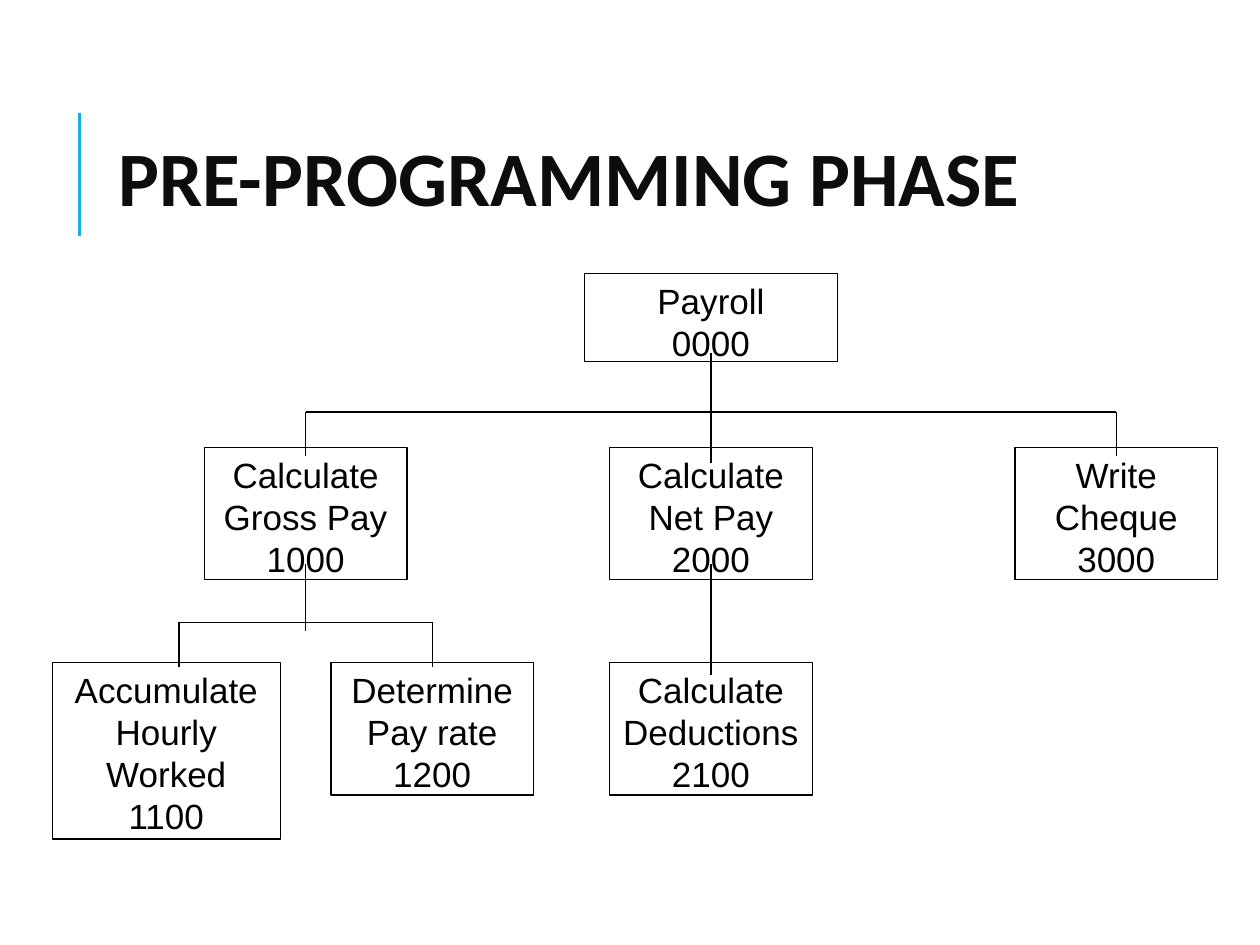
from lxml import etree
from pptx import Presentation
from pptx.dml.color import RGBColor
from pptx.enum.shapes import MSO_CONNECTOR, MSO_SHAPE
from pptx.enum.text import MSO_ANCHOR, PP_ALIGN
from pptx.oxml.ns import qn
from pptx.util import Inches, Pt

RECT = MSO_SHAPE.RECTANGLE
STRAIGHT = MSO_CONNECTOR.STRAIGHT
TOP, MIDDLE = MSO_ANCHOR.TOP, MSO_ANCHOR.MIDDLE
LEFT, CENTER = PP_ALIGN.LEFT, PP_ALIGN.CENTER

THEME = {
    "title": RGBColor(0x0D, 0x0D, 0x0D),
    "ink": RGBColor(0, 0, 0),
    "paper": RGBColor(0xFF, 0xFF, 0xFF),
    "accent": RGBColor(0x1C, 0xAD, 0xE4),
    "title_font": "Calibri",
    "box_font": "Arial",
    "title_size": Pt(44),
    "box_size": Pt(20),
    "rule": Pt(1.5),
    "thin": Pt(0.75),
}

COL, ROW = Inches(0.2), Inches(0.18)
ORIGIN = Inches(1.42)
COL = (Inches(8.86) - ORIGIN) / 37
ROW = Inches(0.7) / 4


def add_line(shapes, x1, y1, x2, y2, color, width):
    line = shapes.add_connector(STRAIGHT, int(x1), int(y1), int(x2), int(y2))
    line.line.color.rgb = color
    line.line.width = width
    etree.SubElement(line._element.spPr, qn("a:effectLst"))


def add_box(shapes, col, top, cols, lines):
    left = ORIGIN + (col - cols / 2) * COL
    height = (2 * len(lines)) * ROW
    sp = shapes.add_shape(RECT, int(left), Inches(top), int(cols * COL), int(height))
    sp.shadow.inherit = False
    sp.fill.solid()
    sp.fill.fore_color.rgb = THEME["paper"]
    sp.line.color.rgb = THEME["ink"]
    sp.line.width = THEME["thin"]
    tf = sp.text_frame
    tf.word_wrap = True
    tf.vertical_anchor = TOP
    tf.margin_left = tf.margin_right = Inches(0.02)
    tf.margin_top = tf.margin_bottom = Inches(0.05)
    for i, text in enumerate(lines):
        p = tf.paragraphs[0] if i == 0 else tf.add_paragraph()
        p.alignment = CENTER
        r = p.add_run()
        r.text = text
        r.font.name = THEME["box_font"]
        r.font.size = THEME["box_size"]
        r.font.color.rgb = THEME["ink"]


prs = Presentation()
prs.slide_width, prs.slide_height = Inches(10), Inches(7.5)
s = prs.slides.add_slide(prs.slide_layouts[5])

rule_x = Inches(0.63)
add_line(s.shapes, rule_x, prs.slide_height * 0.25, rule_x, prs.slide_height * 0.12,
         THEME["accent"], THEME["rule"])

title = s.shapes.title
title.left, title.top = Inches(0.84), Inches(0.64)
title.width, title.height = Inches(7.97), Inches(1.64)
tf = title.text_frame
tf.word_wrap = True
tf.vertical_anchor = MIDDLE
p = tf.paragraphs[0]
p.alignment = LEFT
p.line_spacing = 0.8
r = p.add_run()
r.text = "PRE-PROGRAMMING PHASE"
r.font.name = THEME["title_font"]
r.font.size = THEME["title_size"]
r.font.bold = True
r.font.color.rgb = THEME["title"]

chart = s.shapes.add_group_shape().shapes
HOURS, GROSS, RATE, NET, CHEQUE = 0, 5, 10, 21, 37
LEVELS = (2.17, 3.55, 5.26)

boxes = [
    (HOURS - 0.5, LEVELS[2], 9, ("Accumulate", "Hourly", "Worked", "1100")),
    (NET, LEVELS[0], 10, ("Payroll", "0000")),
    (GROSS, LEVELS[1], 8, ("Calculate", "Gross Pay", "1000")),
    (RATE, LEVELS[2], 8, ("Determine", "Pay rate", "1200")),
    (CHEQUE, LEVELS[1], 8, ("Write", "Cheque", "3000")),
    (NET, LEVELS[1], 8, ("Calculate", "Net Pay", "2000")),
    (NET, LEVELS[2], 8, ("Calculate", "Deductions", "2100")),
]
for col, top, cols, lines in boxes:
    add_box(chart, col, top, cols, lines)

UPPER_BUS, LOWER_BUS = 3.27, 4.94
for first, last, y in ((GROSS, CHEQUE, UPPER_BUS), (HOURS, RATE, LOWER_BUS)):
    add_line(chart, ORIGIN + first * COL, Inches(y), ORIGIN + last * COL, Inches(y),
             THEME["ink"], THEME["thin"])

drops = [
    (NET, 2.8, 5),
    (GROSS, UPPER_BUS, 2),
    (CHEQUE, UPPER_BUS, 2),
    (GROSS, 4.48, 3),
    (RATE, LOWER_BUS, 2),
    (HOURS, LOWER_BUS, 2),
    (NET, 4.48, 5),
]
for col, y, rows in drops:
    x = ORIGIN + col * COL
    add_line(chart, x, Inches(y), x, Inches(y) + rows * ROW, THEME["ink"], THEME["thin"])

prs.save("out.pptx")
